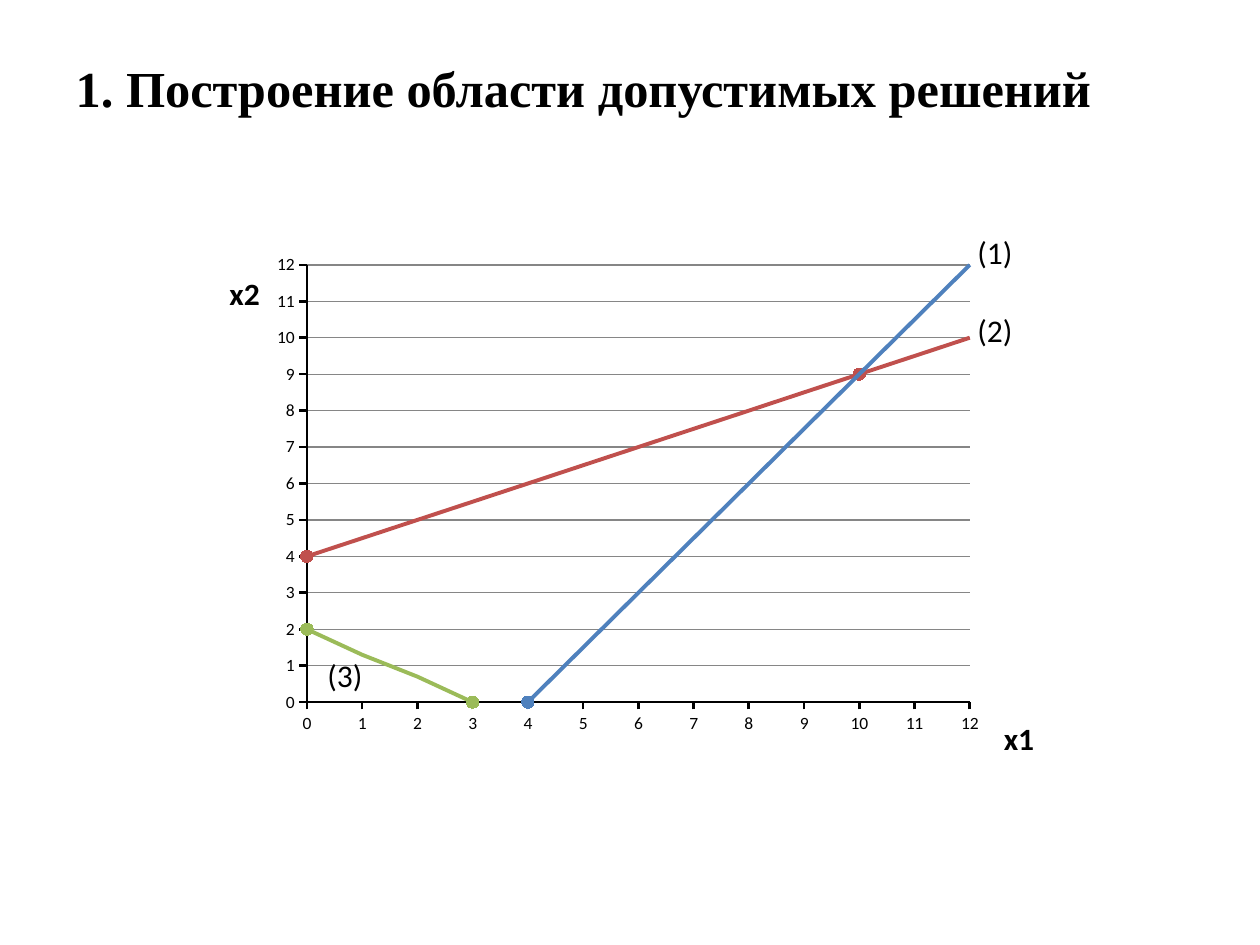
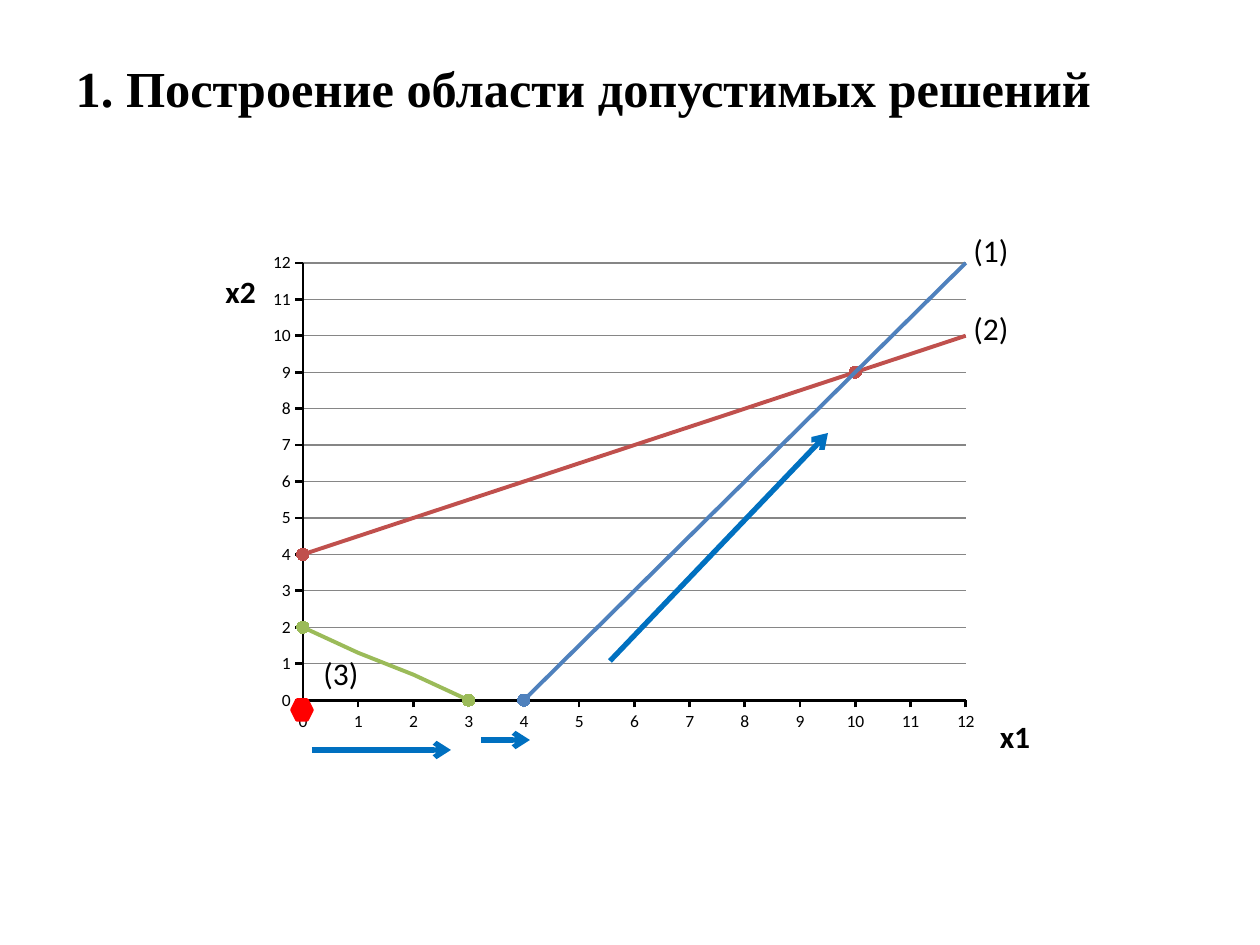
import pptx
import pptx.chart.data
import pptx.dml.color
import pptx.enum.chart
import pptx.enum.shapes
import pptx.enum.text
import pptx.oxml
import pptx.oxml.ns
import pptx.util
from dataclasses import dataclass

PX = 914400 // 126  # EMU per pixel
CHART_W, CHART_H = 833, 522


@dataclass(frozen=True)
class Theme:
    """Colours, fonts and type sizes of the deck."""
    ink: str = "000000"
    paper: str = "FFFFFF"
    grid: str = "868686"
    mark: str = "FF0000"
    arrow: str = "0070C0"
    lines: tuple = ("4F81BD", "C0504D", "9BBB59")
    title_font: str = "Times New Roman"
    body_font: str = "Calibri"
    title_size: float = 28.8
    label_size: int = 18
    tick_size: int = 10


THEME = Theme()
TITLE = "1. Построение области допустимых решений"
X = range(13)
CONSTRAINTS = (
    [1.5 * x - 6 for x in X],
    [0.5 * x + 4 for x in X],
    [round(2 - 2 * x / 3, 1) for x in X],
)
VERTICES = ((0, 4), (1, 0), (1, 10), (2, 0), (2, 3))  # series, x
ROUTE = ((0, 4), (1, 10), (2, 3))  # vertices on the search route
# text, left and top from the chart's corner
LINE_LABELS = (("(3)", 108, 404), ("(1)", 758, -19), ("(2)", 758, 59))


def px(*values):
    """Turn pixels into EMU."""
    return [pptx.util.Emu(v * PX) for v in values]


def rgb(value):
    """Make a colour from its hex string."""
    return pptx.dml.color.RGBColor.from_string(value)


def style_font(font, size, bold=False, name=THEME.body_font):
    """Set face, size, weight and ink."""
    font.name, font.size, font.bold = name, pptx.util.Pt(size), bold
    font.color.rgb = rgb(THEME.ink)


def style_line(line, color, width):
    """Set a solid line."""
    line.color.rgb = rgb(color)
    line.width = pptx.util.Pt(width)


def paint(fmt, color):
    """Give a format one colour for fill and outline."""
    fmt.fill.solid()
    fmt.fill.fore_color.rgb = rgb(color)
    fmt.line.color.rgb = rgb(color)


def add_slide(prs):
    """Add a title-only slide with the shared title."""
    s = prs.slides.add_slide(prs.slide_layouts[5])
    s.background.fill.solid()
    s.background.fill.fore_color.rgb = rgb(THEME.paper)
    sp = s.shapes.title
    sp.left, sp.top, sp.width, sp.height = px(63, 38, 1134, 99)
    tf = sp.text_frame
    tf.text = TITLE
    tf.auto_size = pptx.enum.text.MSO_AUTO_SIZE.NONE
    tf.vertical_anchor = pptx.enum.text.MSO_ANCHOR.MIDDLE
    p = tf.paragraphs[0]
    p.alignment = pptx.enum.text.PP_ALIGN.LEFT
    style_font(p.runs[0].font, THEME.title_size, True, THEME.title_font)
    return s


def set_layout(parent, index, **parts):
    """Place a chart part by fractions of the chart."""
    for old in parent.findall(pptx.oxml.ns.qn("c:layout")):
        parent.remove(old)
    modes = {"xMode": "edge", "yMode": "edge"}
    if "w" in parts:
        modes = {"layoutTarget": "inner", **modes}
    body = "".join(f'<c:{k} val="{v}"/>' for k, v in {**modes, **parts}.items())
    parent.insert(index, pptx.oxml.parse_xml(
        f'<c:layout {pptx.oxml.ns.nsdecls("c")}>'
        f'<c:manualLayout>{body}</c:manualLayout></c:layout>'))


def style_axis(axis, title, x, y):
    """Scale an axis from 0 to 12 and place its title."""
    axis.minimum_scale, axis.maximum_scale, axis.major_unit = 0, 12, 1
    axis.major_tick_mark = pptx.enum.chart.XL_TICK_MARK.OUTSIDE
    axis.minor_tick_mark = pptx.enum.chart.XL_TICK_MARK.NONE
    axis.tick_labels.number_format = "General"
    axis.tick_labels.number_format_is_linked = False
    style_font(axis.tick_labels.font, THEME.tick_size)
    style_line(axis.format.line, THEME.ink, 1.5)
    tf = axis.axis_title.text_frame
    tf.text = title
    style_font(tf.paragraphs[0].runs[0].font, THEME.label_size, True)
    element = axis.axis_title._element
    body = next(element.iter(pptx.oxml.ns.qn("a:bodyPr")))
    body.set("rot", "0")
    body.set("vert", "horz")
    set_layout(element, 1, x=x, y=y)


def add_plot(s, left, top, route=()):
    """Add the constraint lines with their vertices marked."""
    data = pptx.chart.data.XyChartData()
    for number, values in enumerate(CONSTRAINTS, 1):
        series = data.add_series(f"Series {number}")
        for x, y in zip(X, values):
            series.add_data_point(x, y)
    chart = s.shapes.add_chart(
        pptx.enum.chart.XL_CHART_TYPE.XY_SCATTER_LINES_NO_MARKERS,
        *px(left, top, CHART_W, CHART_H), data).chart
    chart.has_legend = chart.has_title = False
    style_font(chart.font, THEME.tick_size)
    plot = chart.plots[0]
    plot.vary_by_categories = False
    for series, color in zip(plot.series, THEME.lines):
        series.smooth = False
        style_line(series.format.line, color, 2.25)
    for vertex in VERTICES:
        number, x = vertex
        point = plot.series[number].points[x]
        style_line(point.format.line, THEME.lines[number], 2.25)
        point.marker.style = pptx.enum.chart.XL_MARKER_STYLE.CIRCLE
        point.marker.size = 7
        paint(point.marker.format, THEME.mark if vertex in route else THEME.ink)
    style_axis(chart.category_axis, "x1", 0.95, 0.91)
    style_axis(chart.value_axis, "x2", 0.02, 0.04)
    chart.category_axis.has_major_gridlines = False
    chart.value_axis.has_major_gridlines = True
    style_line(chart.value_axis.major_gridlines.format.line, THEME.grid, 0.75)
    area = next(chart._chartSpace.iter(pptx.oxml.ns.qn("c:plotArea")))
    set_layout(area, 0, x=0.12, y=0.037, w=0.796, h=0.854)
    for text, dx, dy in LINE_LABELS:
        add_label(s, text, left + dx, top + dy)


def add_label(s, text, left, top):
    """Add the number of a constraint line."""
    tf = s.shapes.add_textbox(*px(left, top, 60, 51)).text_frame
    tf.word_wrap = False
    tf.auto_size = pptx.enum.text.MSO_AUTO_SIZE.SHAPE_TO_FIT_TEXT
    tf.text = text
    style_font(tf.paragraphs[0].runs[0].font, THEME.label_size)


def add_origin(s):
    """Mark the start of the route with a hexagon."""
    sp = s.shapes.add_shape(pptx.enum.shapes.MSO_SHAPE.HEXAGON,
                            *px(292, 700, 20, 20))
    sp.shadow.inherit = False
    paint(sp, THEME.mark)
    sp.line.width = pptx.util.Pt(2)


def add_arrow(s, *ends):
    """Add an arrow along one step of the route."""
    line = s.shapes.add_connector(
        pptx.enum.shapes.MSO_CONNECTOR.STRAIGHT, *px(*ends))
    style_line(line.line, THEME.arrow, 3)
    ns = pptx.oxml.ns.nsdecls("a")
    line.line._get_or_add_ln().append(
        pptx.oxml.parse_xml(f'<a:tailEnd {ns} type="arrow"/>'))
    line._element.spPr.append(pptx.oxml.parse_xml(f"<a:effectLst {ns}/>"))


def main():
    """Build both slides and save them."""
    prs = pptx.Presentation()
    prs.slide_width, prs.slide_height = px(1260, 945)
    add_plot(add_slide(prs), 207, 246)
    s = add_slide(prs)
    add_plot(s, 203, 244, ROUTE)
    add_origin(s)
    for ends in ((312, 750, 451, 750), (481, 740, 530, 740),
                 (610, 661, 828, 433)):
        add_arrow(s, *ends)
    prs.save("out.pptx")


main()
